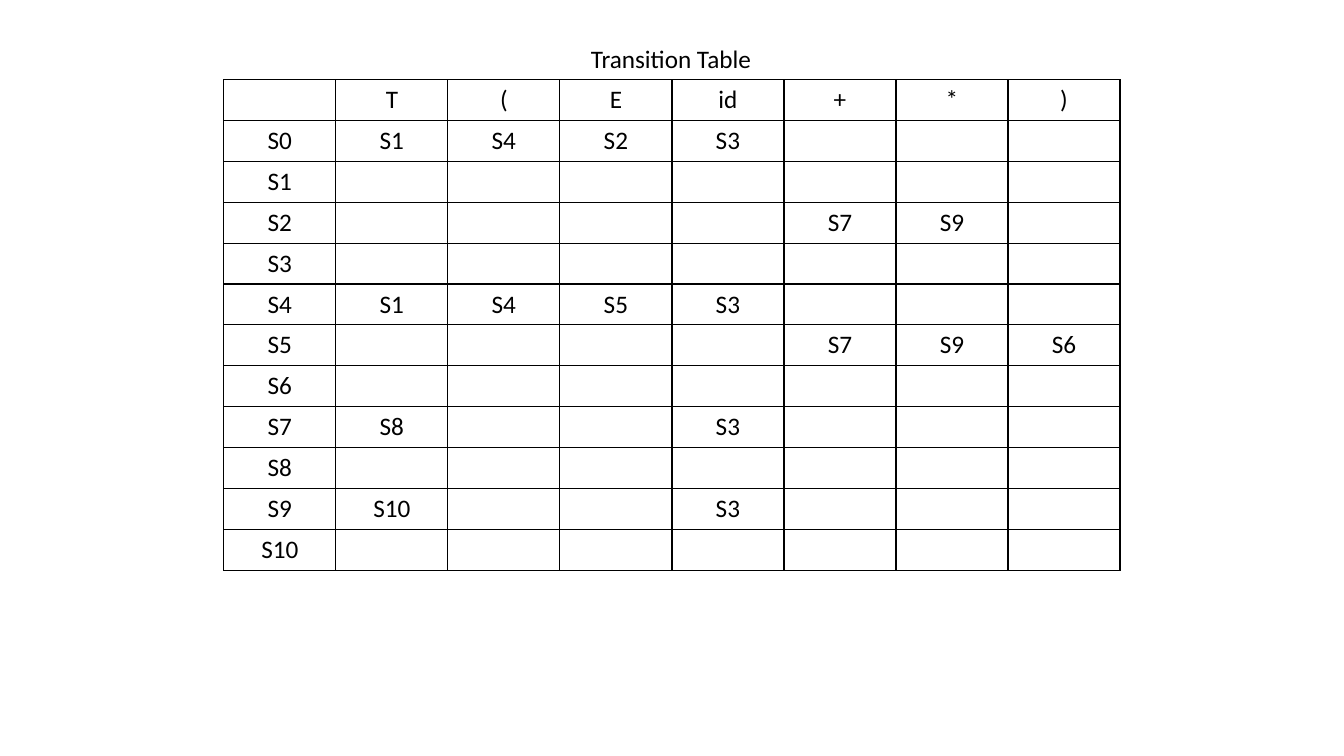
from dataclasses import dataclass

from lxml.etree import SubElement as Sub
from pptx import Presentation
from pptx.dml.color import RGBColor as Color
from pptx.enum.text import MSO_ANCHOR as Anchor, MSO_AUTO_SIZE as Fit, PP_ALIGN as Align
from pptx.oxml.ns import qn
from pptx.util import Inches, Pt


@dataclass(frozen=True)
class Theme:
    font: str = "Calibri"
    size: float = 18
    ink: str = "000000"
    paper: str = "FFFFFF"
    rule: float = 1


def apply(item, form):
    for key, value in form.items():
        setattr(item, key, value)


class Deck:
    def __init__(self, theme, width, height):
        self.theme = theme
        self.show = Presentation()
        apply(self.show, {"slide_width": Inches(width), "slide_height": Inches(height)})
        self.slide = None

    def start(self):
        self.slide = self.show.slides.add_slide(self.show.slide_layouts[5])
        fill = self.slide.background.fill
        fill.solid()
        fill.fore_color.rgb = Color.from_string(self.theme.paper)

    def label(self, frame, text, align):
        para = frame.paragraphs[0]
        para.alignment = align
        run = para.add_run()
        run.text = text
        apply(run.font, {"name": self.theme.font, "size": Pt(self.theme.size)})
        run.font.color.rgb = Color.from_string(self.theme.ink)

    def title(self, text, left, top, width, height):
        shape = self.slide.shapes.title
        apply(shape, {"left": Inches(left), "top": Inches(top),
                      "width": Inches(width), "height": Inches(height)})
        frame = shape.text_frame
        apply(frame, {"word_wrap": False, "auto_size": Fit.SHAPE_TO_FIT_TEXT,
                      "vertical_anchor": Anchor.TOP})
        self.label(frame, text, Align.LEFT)

    def border(self, cell):
        props = cell._tc.get_or_add_tcPr()
        for side in ("lnL", "lnR", "lnT", "lnB"):
            line = Sub(props, qn(f"a:{side}"), w=str(Pt(self.theme.rule)))
            fill = Sub(line, qn("a:solidFill"))
            Sub(fill, qn("a:srgbClr"), val=self.theme.ink)
        cell.fill.background()

    def table(self, rows, left, top, width, height):
        table = self.slide.shapes.add_table(
            len(rows), len(rows[0]), Inches(left), Inches(top),
            Inches(width), Inches(height)).table
        apply(table, {"first_row": False, "horz_banding": False})
        for r, row in enumerate(rows):
            for c, text in enumerate(row):
                cell = table.cell(r, c)
                self.border(cell)
                if text:
                    self.label(cell.text_frame, text, Align.CENTER)

    def save(self):
        self.show.save("out.pptx")


heads = ["T", "(", "E", "id", "+", "*", ")"]
moves = {
    0: {"T": 1, "(": 4, "E": 2, "id": 3},
    2: {"+": 7, "*": 9},
    4: {"T": 1, "(": 4, "E": 5, "id": 3},
    5: {"+": 7, "*": 9, ")": 6},
    7: {"T": 8, "id": 3},
    9: {"T": 10, "id": 3},
}
rows = [["", *heads]]
for state in range(11):
    goto = moves.get(state, {})
    rows.append([f"S{state}", *(f"S{goto[h]}" if h in goto else "" for h in heads)])

deck = Deck(Theme(), 13.33, 7.5)
deck.start()
deck.table(rows, 2.22, 0.79, 8.89, 4.87)
deck.title("Transition Table", 5.76, 0.38, 1.81, 0.4)
deck.save()
